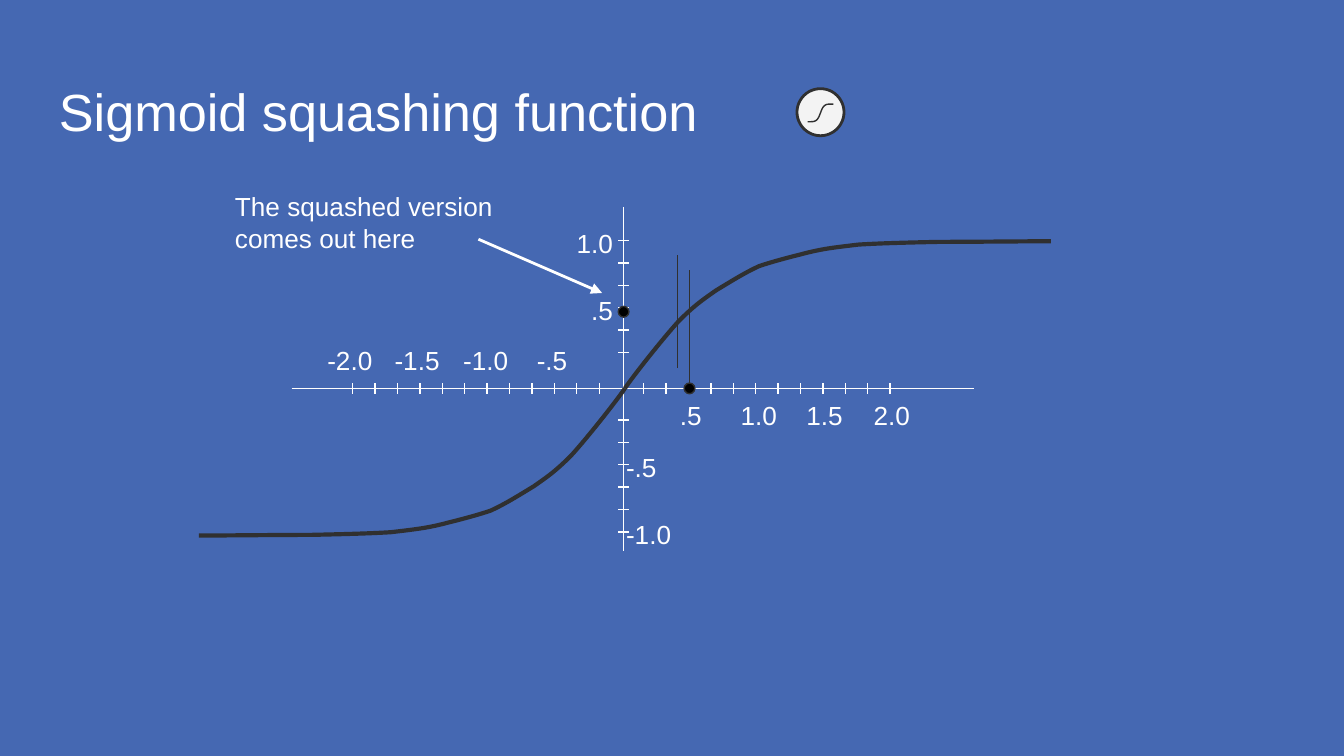
from lxml import etree
from pptx import Presentation
from pptx.dml.color import RGBColor
from pptx.enum.shapes import MSO_CONNECTOR, MSO_SHAPE
from pptx.enum.text import PP_ALIGN
from pptx.oxml.ns import qn
from pptx.util import Inches, Pt

LEFT, RIGHT = PP_ALIGN.LEFT, PP_ALIGN.RIGHT
STRAIGHT, OVAL = MSO_CONNECTOR.STRAIGHT, MSO_SHAPE.OVAL

BLUE = RGBColor(0x45, 0x68, 0xB2)
WHITE = RGBColor(0xFF, 0xFF, 0xFF)
DARK = RGBColor(0x30, 0x30, 0x30)
BLACK = RGBColor(0x00, 0x00, 0x00)
PALE = RGBColor(0xF3, 0xF3, 0xF3)

# The slide is a grid of 100 columns by 56.25 rows
CELL = 0.1
AXIS_X, AXIS_Y = 46.4, 28.9
TICK = 10 / 6
TICK_HALF = 0.4

# Right half of the sigmoid: a start, then three points per Bezier segment
HALF_CURVE = [
    (0, 0),
    (0.6, 0.9), (2.9, 3.8), (4.0, 5.0),
    (5.2, 6.2), (5.8, 6.6), (6.8, 7.3),
    (7.8, 7.9), (8.9, 8.6), (10.0, 9.1),
    (11.2, 9.5), (12.4, 9.8), (13.6, 10.1),
    (14.8, 10.4), (15.7, 10.5), (17.4, 10.7),
    (19.0, 10.8), (21.0, 10.85), (23.4, 10.9),
    (25.8, 10.9), (30.3, 10.95), (31.7, 10.95),
]


def grid(n):
    return Inches(n * CELL)


def add_text(slide, text, left, top, width, height, size=14, align=LEFT):
    box = slide.shapes.add_textbox(grid(left), grid(top), grid(width), grid(height))
    tf = box.text_frame
    tf.word_wrap = True
    tf.margin_left = tf.margin_right = grid(1)
    tf.margin_top = tf.margin_bottom = grid(1)
    p = tf.paragraphs[0]
    p.alignment = align
    r = p.add_run()
    r.text = text
    r.font.name = "Arial"
    r.font.size = Pt(size)
    r.font.color.rgb = WHITE


def add_line(slide, x1, y1, x2, y2, color=WHITE, weight=0.75, arrow=False):
    line = slide.shapes.add_connector(STRAIGHT, grid(x1), grid(y1), grid(x2), grid(y2))
    line.line.color.rgb = color
    line.line.width = Pt(weight)
    if arrow:
        etree.SubElement(line.line._get_or_add_ln(), qn("a:tailEnd"), type="triangle")
    etree.SubElement(line._element.spPr, qn("a:effectLst"))


def add_circle(slide, cx, cy, diameter, fill, weight):
    sp = slide.shapes.add_shape(OVAL, grid(cx - diameter / 2), grid(cy - diameter / 2),
                                grid(diameter), grid(diameter))
    sp.shadow.inherit = False
    sp.fill.solid()
    sp.fill.fore_color.rgb = fill
    sp.line.color.rgb = DARK
    sp.line.width = Pt(weight)


def add_curve(slide, points, weight):
    """Draw a Bezier outline through a start and triples of points."""
    start, *rest = [(grid(x), grid(y)) for x, y in points]
    builder = slide.shapes.build_freeform(*start)
    builder.add_line_segments(rest, close=False)
    sp = builder.convert_to_shape()
    sp.shadow.inherit = False
    sp.fill.background()
    sp.line.color.rgb = DARK
    sp.line.width = Pt(weight)
    # Join each three straight segments into one cubic segment
    outline = sp._element.find(".//" + qn("a:path"))
    segments = outline.findall(qn("a:lnTo"))
    for i in range(0, len(segments), 3):
        cubic = etree.SubElement(outline, qn("a:cubicBezTo"))
        for segment in segments[i:i + 3]:
            cubic.append(segment[0])
            outline.remove(segment)


def add_sigmoid(slide, cx, cy, x_scale, y_scale, weight):
    for sign in (1, -1):
        points = [(cx + sign * x * x_scale, cy - sign * y * y_scale)
                  for x, y in HALF_CURVE]
        add_curve(slide, points, weight)


def add_ticks(slide):
    for start in (17.9, 31.25):
        for i in range(6):
            y = start + i * TICK
            add_line(slide, AXIS_X - TICK_HALF, y, AXIS_X + TICK_HALF, y)
    for start in (26.25, 47.9):
        for i in range(12):
            x = start + i * TICK
            add_line(slide, x, AXIS_Y - TICK_HALF, x, AXIS_Y + TICK_HALF)


def add_axis_labels(slide):
    width, height = 5.6, 3.9
    for text, top in (("1.0", 15.9), (".5", 20.9)):
        add_text(slide, text, 41, top, width, height, align=RIGHT)
    for text, top in (("-.5", 32.6), ("-1.0", 37.6)):
        add_text(slide, text, 45.6, top, width, height)
    # Labels on the horizontal axis are placed by their right edge
    rows = (
        (24.6, (("-2.0", 28.7), ("-1.5", 33.7), ("-1.0", 38.8), ("-.5", 43.2))),
        (28.7, ((".5", 53.2), ("1.0", 58.8), ("1.5", 63.7), ("2.0", 68.7))),
    )
    for top, labels in rows:
        for text, right in labels:
            add_text(slide, text, right - width, top, width, height, align=RIGHT)


def main():
    prs = Presentation()
    prs.slide_width, prs.slide_height = grid(100), grid(56.25)
    slide = prs.slides.add_slide(prs.slide_layouts[6])
    slide.background.fill.solid()
    slide.background.fill.fore_color.rgb = BLUE

    add_text(slide, "Sigmoid squashing function", 3.4, 4.9, 93.2, 6.3, size=28)

    # Axes and curve
    add_line(slide, 21.7, AXIS_Y, 72.5, AXIS_Y)
    add_line(slide, AXIS_X, 15.4, AXIS_X, 41)
    add_sigmoid(slide, 46.5, AXIS_Y, 1, 1, 2.25)
    add_ticks(slide)
    add_axis_labels(slide)

    # Input and output values
    add_circle(slide, 51.3, AXIS_Y, 0.8, BLACK, 0.75)
    add_line(slide, 51.3, 28.5, 51.3, 20.1, color=DARK)
    add_line(slide, 50.4, 27.4, 50.4, 19, color=DARK)
    add_circle(slide, AXIS_X, 23.2, 0.8, BLACK, 0.75)

    # Callout
    add_text(slide, "The squashed version comes out here", 16.5, 13.2, 25.3, 2.9)
    add_line(slide, 35.6, 17.8, 44.8, 21.8, weight=1.5, arrow=True)

    # Sigmoid icon
    add_circle(slide, 61.05, 8.35, 3.5, PALE, 1.5)
    add_sigmoid(slide, 61.05, 8.4, 0.03, 0.06, 0.75)

    prs.save("out.pptx")


if __name__ == "__main__":
    main()
